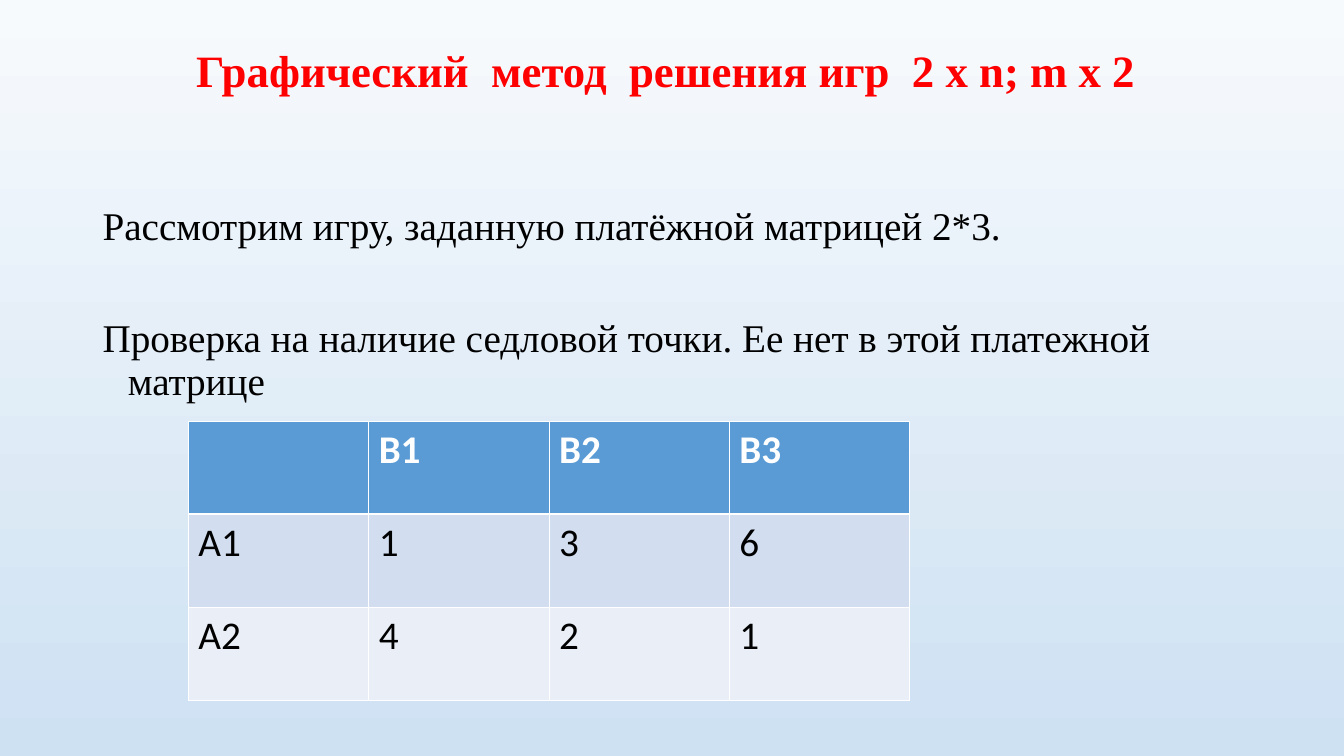
from lxml.etree import SubElement as Sub
from pptx import Presentation
from pptx.dml.color import RGBColor
from pptx.enum.text import MSO_ANCHOR as Anchor, PP_ALIGN as Align
from pptx.oxml.ns import qn
from pptx.util import Inches, Pt


def tint(code):
    return RGBColor.from_string(code)


def write(par, text, font="Times New Roman", size=28, color="000000",
          bold=False, align=None, line=None, before=0, hang=0):
    """Put formatted text into a paragraph."""
    if hang:
        props = par._p.get_or_add_pPr()
        props.set("marL", str(Inches(hang)))
        props.set("indent", str(-Inches(hang)))
    par.alignment = align
    par.line_spacing = line
    par.space_before = Pt(before)
    run = par.add_run()
    run.text = text
    run.font.name = font
    run.font.size = Pt(size)
    run.font.bold = bold
    run.font.color.rgb = tint(color)


class Page:
    head = "5B9BD5"
    bands = ["D2DEEF", "EAEFF7"]
    rule = "FFFFFF"

    def __init__(self, deck):
        self.deck = deck
        self.slide = deck.slides.add_slide(deck.slide_layouts[6])

    def area(self, *shares):
        """Turn percentages of the slide's size into lengths."""
        sides = (self.deck.slide_width, self.deck.slide_height) * 2
        return [int(side * share / 100) for side, share in zip(sides, shares)]

    def back(self, top, base):
        fill = self.slide.background.fill
        fill.gradient()
        fill.gradient_angle = 270
        for stop, code in zip(fill.gradient_stops, (top, base)):
            stop.color.rgb = tint(code)

    def text(self, shares, lines, anchor=Anchor.TOP, gap=0, **style):
        frame = self.slide.shapes.add_textbox(*self.area(*shares)).text_frame
        frame.word_wrap = True
        frame.vertical_anchor = anchor
        for i, line in enumerate(lines):
            par = frame.add_paragraph() if i else frame.paragraphs[0]
            write(par, line, before=gap if i else 0, **style)

    def edge(self, cell, side, width):
        line = Sub(cell._tc.get_or_add_tcPr(), qn(f"a:ln{side}"),
                   w=str(Pt(width)))
        fill = Sub(line, qn("a:solidFill"))
        Sub(fill, qn("a:srgbClr"), val=self.rule)

    def table(self, shares, rows):
        shape = self.slide.shapes.add_table(len(rows), len(rows[0]),
                                            *self.area(*shares))
        for r, row in enumerate(rows):
            for c, text in enumerate(row):
                cell = shape.table.cell(r, c)
                # The rule under the header is heavier
                for side in "LRTB":
                    heavy = (r, side) in [(0, "B"), (1, "T")]
                    self.edge(cell, side, 1.47 if heavy else 0.45)
                cell.fill.solid()
                code = self.bands[(r - 1) % 2] if r else self.head
                cell.fill.fore_color.rgb = tint(code)
                if text:
                    write(cell.text_frame.paragraphs[0], text, font="Calibri",
                          color="000000" if r else "FFFFFF", bold=r == 0)


def main():
    deck = Presentation()
    deck.slide_width, deck.slide_height = Inches(13.34), Inches(7.5)
    page = Page(deck)
    page.back("F7FAFD", "CEE1F2")

    # Title
    page.text((12.52, 4, 74.06, 11.33),
              ["Графический  метод  решения игр  2 х n; m х 2"],
              anchor=Anchor.MIDDLE, size=32, color="FF0000", bold=True,
              align=Align.CENTER, line=0.9)

    # Problem statement
    page.text((6.9, 26.67, 86.2, 28),
              ["Рассмотрим игру, заданную платёжной матрицей 2*3.",
               "Проверка на наличие седловой точки. "
               "Ее нет в этой платежной матрице"],
              gap=50, line=0.9, hang=0.25)

    # Payoff matrix
    page.table((14.02, 55.73, 53.67, 36.93),
               [["", "B1", "B2", "B3"],
                ["A1", "1", "3", "6"],
                ["A2", "4", "2", "1"]])

    deck.save("out.pptx")


if __name__ == "__main__":
    main()
